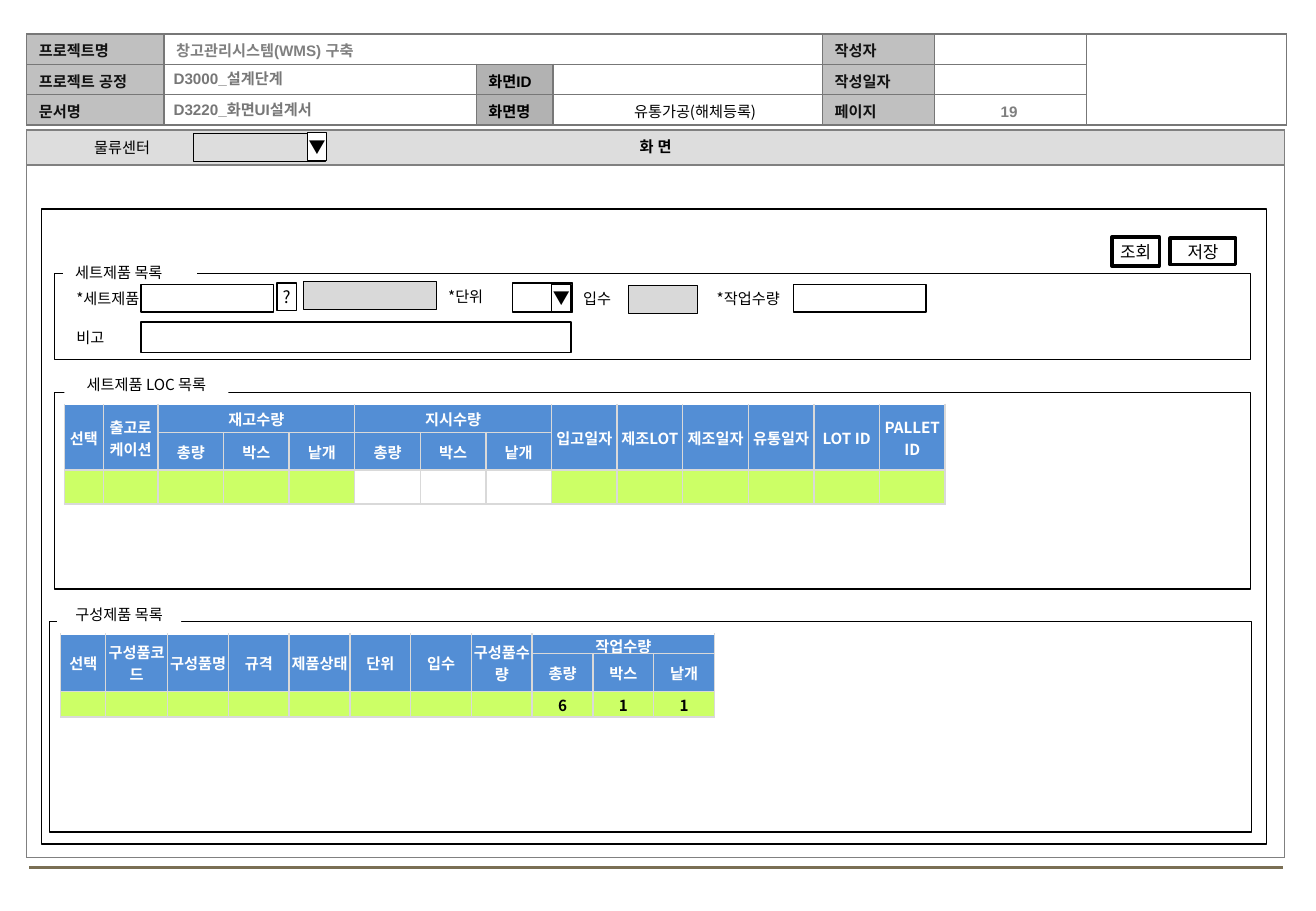
import pptx
import pptx.util
import pptx.dml.color
import pptx.enum.shapes
import pptx.enum.text
import pptx.oxml.ns
from lxml import etree

Inches, Pt = pptx.util.Inches, pptx.util.Pt
qn = pptx.oxml.ns.qn
ANCHOR = pptx.enum.text.MSO_ANCHOR
ALIGN = pptx.enum.text.PP_ALIGN

THEME = {
    "latin": "Arial", "korean": "Noto Sans CJK KR",
    "small": 9, "control": 10,
    "black": "000000", "white": "FFFFFF", "label": "111111",
    "project": "808080", "stage": "777777", "number": "7F7F7F",
    "title_fill": "C0C0C0", "screen_fill": "B2B2B2", "bar": "DDDDDD",
    "locked": "D9D9D9", "head": "538ED5", "row": "CCFF66",
    "border": "777777", "body_border": "808080", "grid": "D9D9D9", "rule": "7A6F54",
}

# Content: document header
HEADER_COLUMNS = [1.13, 2.57, 0.63, 2.22, 0.92, 1.25, 1.65]
HEADER_LABELS = {  # column: (fill, text colour, texts by row)
    0: ("title_fill", "label", ["프로젝트명", "프로젝트 공정", "문서명"]),
    2: ("screen_fill", "black", [None, "화면ID", "화면명"]),
    4: ("title_fill", "label", ["작성자", "작성일자", "페이지"]),
}
PROJECT = "창고관리시스템(WMS) 구축"
HEADER_TEXTS = [  # text, left, top, width, font, colour, bold, centred
    ("D3000_설계단계", 1.33, 0.52, 5.42, "latin", "stage", True, False),
    ("D3220_화면UI설계서", 1.33, 0.78, 5.41, "latin", "stage", True, False),
    ("19", 7.68, 0.79, 1.25, "latin", "number", True, True),
    ("유통가공(해체등록)", 4.63, 0.79, 2.18, "korean", "black", False, True),
]

# Content: list tables, each heading with its sub-headings
AMOUNTS = ["총량", "박스", "낱개"]
LOCATION_HEADS = [
    ("선택", []), ("출고로케이션", []), ("재고수량", AMOUNTS), ("지시수량", AMOUNTS),
    ("입고일자", []), ("제조LOT", []), ("제조일자", []), ("유통일자", []),
    ("LOT ID", []), ("PALLET ID", []),
]
PART_HEADS = [
    ("선택", []), ("구성품코드", []), ("구성품명", []), ("규격", []), ("제품상태", []),
    ("단위", []), ("입수", []), ("구성품수량", []), ("작업수량", AMOUNTS),
]
LIST_TABLES = [  # left, top, column widths, row heights, heads, values, open columns
    (0.53, 3.33, [0.32, 0.45] + [0.54] * 12, [0.23, 0.23, 0.28],
     LOCATION_HEADS, [""] * 14, (5, 6, 7)),
    (0.5, 5.22, [0.37, 0.51] + [0.5] * 9, [0.16, 0.21, 0.21],
     PART_HEADS, [""] * 8 + ["6", "1", "1"], ()),
]

# Content: form parts
FRAMES = [(0.45, 2.25, 9.84, 0.71), (0.34, 1.72, 10.08, 5.23),
          (0.45, 3.23, 9.84, 1.62), (0.41, 5.12, 9.89, 1.73)]
LEGENDS = [("세트제품 목록", 0.52, 2.12, 1.1, False),
           ("세트제품 LOC 목록", 0.53, 3.04, 1.35, True),
           ("구성제품 목록", 0.47, 4.93, 1.02, True)]
LABELS = [("물류센터", 0.42, 1.09, True), ("*세트제품", 0.53, 2.33, False),
          ("*단위", 3.59, 2.32, False), ("입수", 4.7, 2.33, False),
          ("*작업수량", 5.8, 2.33, False), ("비고", 0.53, 2.65, False)]
FIELDS = [  # left, top, width, height, fill
    (1.59, 1.1, 1.09, 0.23, None), (1.16, 2.34, 1.09, 0.23, None),
    (2.5, 2.32, 1.09, 0.23, "locked"), (4.22, 2.33, 0.49, 0.24, None),
    (5.17, 2.35, 0.57, 0.23, "locked"), (6.53, 2.34, 1.09, 0.23, None),
    (1.16, 2.65, 3.54, 0.25, None)]
BUTTONS = [  # text, left, top, width, height, line width
    ("▼", 2.53, 1.09, 0.16, 0.23, 0.75), ("?", 2.28, 2.33, 0.16, 0.23, 0.75),
    ("▼", 4.54, 2.34, 0.16, 0.23, 0.75), ("저장", 9.63, 1.96, 0.54, 0.22, 2),
    ("조회", 9.15, 1.95, 0.39, 0.24, 2)]

deck = pptx.Presentation()
deck.slide_width, deck.slide_height = Inches(10.83), Inches(7.5)
page = deck.slides.add_slide(deck.slide_layouts[6])


def color(name):
    return pptx.dml.color.RGBColor.from_string(THEME[name])


def write(frame, text, font="korean", tint="black", size="small", bold=False, centred=True):
    para = frame.paragraphs[0]
    para.alignment = ALIGN.CENTER if centred else ALIGN.LEFT
    if not text:
        etree.SubElement(para._p, qn("a:endParaRPr"), sz=str(THEME[size] * 100))
        return
    para.text = text
    para.font.size, para.font.bold = Pt(THEME[size]), bold
    para.font.name = THEME[font]
    para.font.color.rgb = color(tint)
    etree.SubElement(para._p.pPr.find(qn("a:defRPr")), qn("a:ea"), typeface=THEME[font])


def set_margins(target, sides, top, bottom):
    target.margin_left = target.margin_right = Inches(sides)
    target.margin_top, target.margin_bottom = Inches(top), Inches(bottom)


def add_label(text, left, top, width, **style):
    box = page.shapes.add_textbox(*map(Inches, (left, top, width, 0.25)))
    box.text_frame.word_wrap = True
    write(box.text_frame, text, **style)
    return box


def add_box(left, top, width, height, fill=None, line=0.75):
    box = page.shapes.add_shape(pptx.enum.shapes.MSO_SHAPE.RECTANGLE,
                                *map(Inches, (left, top, width, height)))
    box.shadow.inherit = False
    box.line.color.rgb, box.line.width = color("black"), Pt(line)
    if fill:
        box.fill.solid()
        box.fill.fore_color.rgb = color(fill)
    else:
        box.fill.background()
    return box


def add_grid(left, top, widths, heights, border, margins, open_top=False):
    frame = page.shapes.add_table(len(heights), len(widths), Inches(left), Inches(top),
                                  Inches(sum(widths)), Inches(sum(heights)))
    table = frame.table
    table.first_row = table.horz_banding = False
    for column, width in zip(table.columns, widths):
        column.width = Inches(width)
    for index, (row, height) in enumerate(zip(table.rows, heights)):
        row.height = Inches(height)
        for cell in row.cells:
            set_margins(cell, *margins)
            cell.vertical_anchor = ANCHOR.MIDDLE
            cell.fill.background()
            sides = "LRB" if open_top and index == 0 else "LRTB"
            for place, side in enumerate(sides):
                edge = etree.Element(qn("a:ln" + side), w=str(Pt(1)))
                paint = etree.SubElement(edge, qn("a:solidFill"))
                etree.SubElement(paint, qn("a:srgbClr"), val=THEME[border])
                cell._tc.tcPr.insert(place, edge)
    return table


def fill_cell(cell, text, fill, **style):
    if fill:
        cell.fill.solid()
        cell.fill.fore_color.rgb = color(fill)
    write(cell.text_frame, text, **style)


# Rule at the foot
rule = page.shapes.add_connector(pptx.enum.shapes.MSO_CONNECTOR.STRAIGHT,
                                 Inches(0.24), Inches(7.14), Inches(10.56), Inches(7.14))
rule.line.color.rgb, rule.line.width = color("rule"), Pt(1.75)
etree.SubElement(rule._element.spPr, qn("a:effectLst"))

# Document header
header = add_grid(0.22, 0.28, HEADER_COLUMNS, [0.25] * 3, "border", (0.1, 0.04, 0))
header.cell(0, 1).merge(header.cell(0, 3))
header.cell(0, 6).merge(header.cell(2, 6))
for row in range(3):
    for column in range(len(HEADER_COLUMNS)):
        fill, tint, texts = HEADER_LABELS.get(column, (None, "project", [PROJECT if column == 1 else None, None, None]))
        fill_cell(header.cell(row, column), texts[row], fill if texts[row] else None,
                  font="latin", tint=tint, bold=True, centred=False)
for text, left, top, width, font, tint, bold, centred in HEADER_TEXTS:
    add_label(text, left, top, width, font=font, tint=tint, bold=bold, centred=centred)

# Screen area
screen = add_grid(0.22, 1.07, [10.35], [0.29, 5.7], "body_border", (0.02, 0, 0))
fill_cell(screen.cell(0, 0), "화 면", "bar", font="latin", bold=True)

# List tables
for left, top, widths, heights, heads, values, open_columns in LIST_TABLES:
    table = add_grid(left, top, widths, heights, "grid", (0.01, 0.01, 0), open_top=True)
    column = 0
    for head, parts in heads:
        span = max(len(parts), 1)
        cell = table.cell(0, column)
        cell.merge(table.cell(0 if parts else 1, column + span - 1))
        fill_cell(cell, head, "head", tint="white", bold=True)
        for offset, part in enumerate(parts):
            fill_cell(table.cell(1, column + offset), part, "head", tint="white", bold=True)
        column += span
    for column, value in enumerate(values):
        fill_cell(table.cell(2, column), value, None if column in open_columns else "row", bold=True)

# Frames with their legends
for frame in FRAMES:
    add_box(*frame)
for text, left, top, width, centred in LEGENDS:
    legend = add_label(text, left, top, width, centred=centred)
    legend.fill.solid()
    legend.fill.fore_color.rgb = color("white")

# Form fields and buttons
for text, left, top, centred in LABELS:
    add_label(text, left, top, 1.17, centred=centred)
for field in FIELDS:
    add_box(*field)
for text, left, top, width, height, line in BUTTONS:
    button = add_box(left, top, width, height, "white", line)
    button.text_frame.word_wrap = False
    button.text_frame.vertical_anchor = ANCHOR.MIDDLE
    set_margins(button.text_frame, 0.02, 0.04, 0.04)
    write(button.text_frame, text, size="control")

deck.save("out.pptx")
